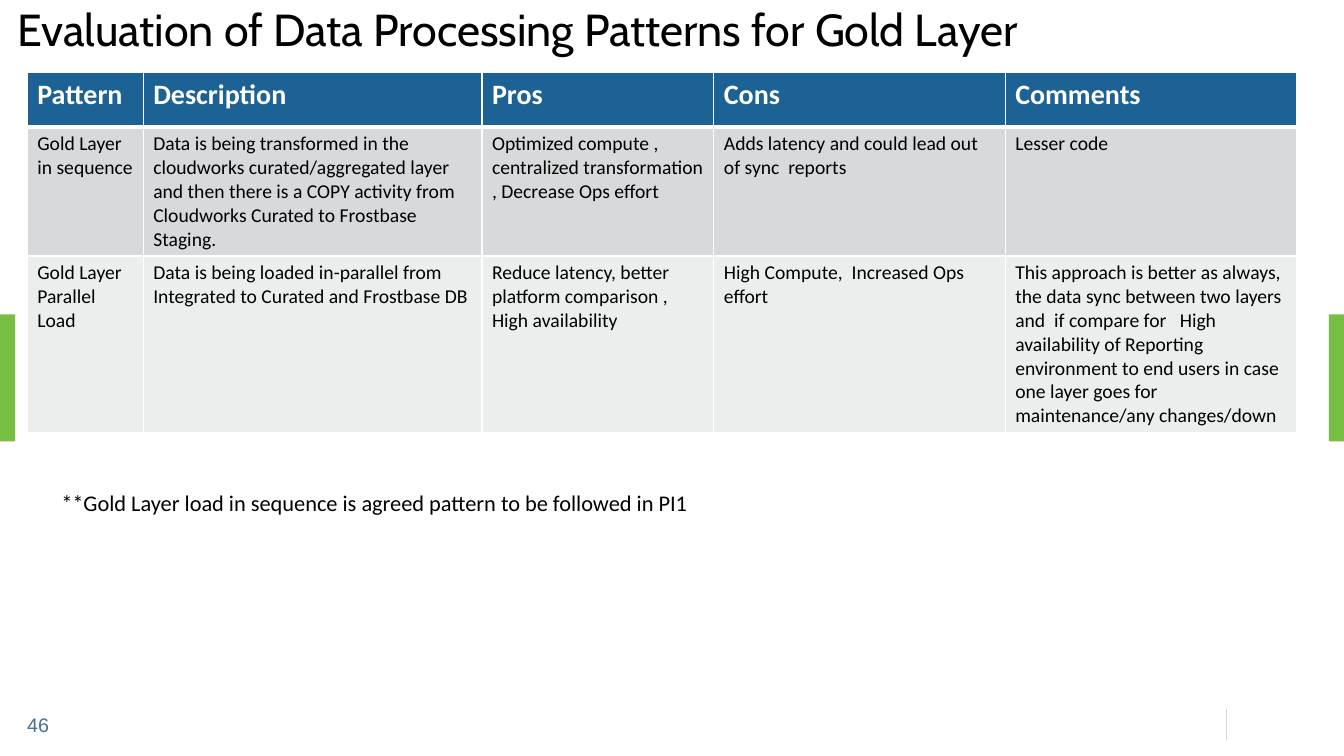
from lxml import etree
from pptx import Presentation
from pptx.dml.color import RGBColor
from pptx.enum.shapes import MSO_CONNECTOR, MSO_SHAPE
from pptx.enum.text import MSO_ANCHOR, MSO_AUTO_SIZE, PP_ALIGN
from pptx.oxml import parse_xml
from pptx.oxml.ns import nsdecls, qn
from pptx.util import Inches, Pt

SLIDE_WIDTH, SLIDE_HEIGHT = 13.33, 7.5

PATTERNS = [
    ["Pattern", "Description", "Pros", "Cons", "Comments"],
    ["Gold Layer in sequence",
     "Data is being transformed in the cloudworks curated/aggregated layer and then "
     "there is a COPY activity from Cloudworks Curated to Frostbase Staging.",
     "Optimized compute ,  centralized transformation , Decrease Ops effort",
     "Adds latency and could lead out of sync  reports",
     "Lesser code"],
    ["Gold Layer Parallel Load",
     "Data is being loaded in-parallel from Integrated to Curated and Frostbase DB",
     "Reduce latency, better platform comparison , High availability",
     "High Compute,  Increased Ops effort",
     "This approach is better as always,  the data sync between two layers  and  if "
     "compare for   High availability of Reporting environment to end users in case "
     "one layer goes for maintenance/any changes/down"],
]
COLUMN_WIDTHS = [1.15, 3.36, 2.3, 2.89, 2.89]
ROW_HEIGHTS = [0.54, 1.28, 1.75]
ROW_FILLS = ["1D6294", "D7DADB", "ECEEEE"]


def color(hex_code):
    return RGBColor.from_string(hex_code)


class SlideBuilder:
    font = "Calibri"
    ink = "000000"
    white = "FFFFFF"

    def __init__(self, slide):
        self.slide = slide

    def set_text(self, frame, text, size, font=None, ink=None, bold=False):
        frame.text = text
        paragraph = frame.paragraphs[0]
        paragraph.alignment = PP_ALIGN.LEFT
        style = paragraph.runs[0].font
        style.name, style.size, style.bold = font or self.font, Pt(size), bold
        style.color.rgb = color(ink or self.ink)
        return paragraph

    def title(self, text, left, top, width, height):
        heading = self.slide.shapes.title
        heading.left, heading.top = Inches(left), Inches(top)
        heading.width, heading.height = Inches(width), Inches(height)
        frame = heading.text_frame
        frame.auto_size = MSO_AUTO_SIZE.NONE
        frame.vertical_anchor = MSO_ANCHOR.MIDDLE
        self.set_text(frame, text, 32, font="Cabin")

    def block(self, left, top, width, height, fill):
        shape = self.slide.shapes.add_shape(
            MSO_SHAPE.RECTANGLE, Inches(left), Inches(top), Inches(width), Inches(height))
        shape.shadow.inherit = False
        shape.fill.solid()
        shape.fill.fore_color.rgb = color(fill)
        shape.line.fill.background()
        return shape

    def note(self, text, left, top, width, height):
        frame = self.block(left, top, width, height, self.white).text_frame
        frame.word_wrap = True
        frame.vertical_anchor = MSO_ANCHOR.TOP
        paragraph = self.set_text(frame, text, 16)
        paragraph.line_spacing = 1.1
        paragraph.space_before = paragraph.space_after = Pt(2)

    def rule(self, x, top, bottom, stroke):
        line = self.slide.shapes.add_connector(
            MSO_CONNECTOR.STRAIGHT, Inches(x), Inches(top), Inches(x), Inches(bottom))
        line.line.color.rgb = color(stroke)
        line.line.width = Pt(0.75)
        etree.SubElement(line._element.spPr, qn("a:effectLst"))

    def page_number(self, text, left, top, width, height):
        frame = self.slide.shapes.add_textbox(
            Inches(left), Inches(top), Inches(width), Inches(height)).text_frame
        frame.margin_left = frame.margin_right = frame.margin_top = frame.margin_bottom = 0
        frame.word_wrap = False
        frame.vertical_anchor = MSO_ANCHOR.MIDDLE
        self.set_text(frame, text, 14, font="Arial", ink="4A7090")

    def border(self, cell, side, points):
        edge = parse_xml(
            f'<a:{side} {nsdecls("a")} w="{Pt(points)}"><a:solidFill>'
            f'<a:srgbClr val="{self.white}"/></a:solidFill></a:{side}>')
        cell._tc.get_or_add_tcPr().append(edge)

    def table(self, rows, left, top, widths, heights, fills):
        grid = self.slide.shapes.add_table(
            len(rows), len(widths), Inches(left), Inches(top),
            Inches(sum(widths)), Inches(sum(heights))).table
        for column, width in zip(grid.columns, widths):
            column.width = Inches(width)
        for row, height in zip(grid.rows, heights):
            row.height = Inches(height)
        for r, texts in enumerate(rows):
            header = r == 0
            for c, text in enumerate(texts):
                cell = grid.cell(r, c)
                self.set_text(cell.text_frame, text, 20 if header else 14,
                              ink=self.white if header else self.ink, bold=header)
                # Borders come before the fill in the cell properties
                self.border(cell, "lnL", 1)
                self.border(cell, "lnR", 1)
                self.border(cell, "lnT", 3 if r == 1 else 1)
                self.border(cell, "lnB", 3 if header else 1)
                cell.fill.solid()
                cell.fill.fore_color.rgb = color(fills[r])


def main():
    deck = Presentation()
    deck.slide_width, deck.slide_height = Inches(SLIDE_WIDTH), Inches(SLIDE_HEIGHT)
    page = SlideBuilder(deck.slides.add_slide(deck.slide_layouts[5]))

    # Green edge tabs and footer
    tab_width = 0.15
    for tab_left in (0, SLIDE_WIDTH - tab_width):
        page.block(tab_left, 3.12, tab_width, 1.26, "77BF43")
    page.rule(12.16, 7.03, 7.34, "D9D9D9")
    page.page_number("46", 0.27, 7.07, 0.24, 0.24)

    # Title, comparison table and decision
    page.title("Evaluation of Data Processing Patterns for Gold Layer", 0.07, -0.03, 12, 0.62)
    page.table(PATTERNS, 0.27, 0.72, COLUMN_WIDTHS, ROW_HEIGHTS, ROW_FILLS)
    page.note("**Gold Layer load in sequence is agreed pattern to be followed in PI1",
              0.51, 4.78, 10.13, 0.52)

    deck.save("out.pptx")


if __name__ == "__main__":
    main()
